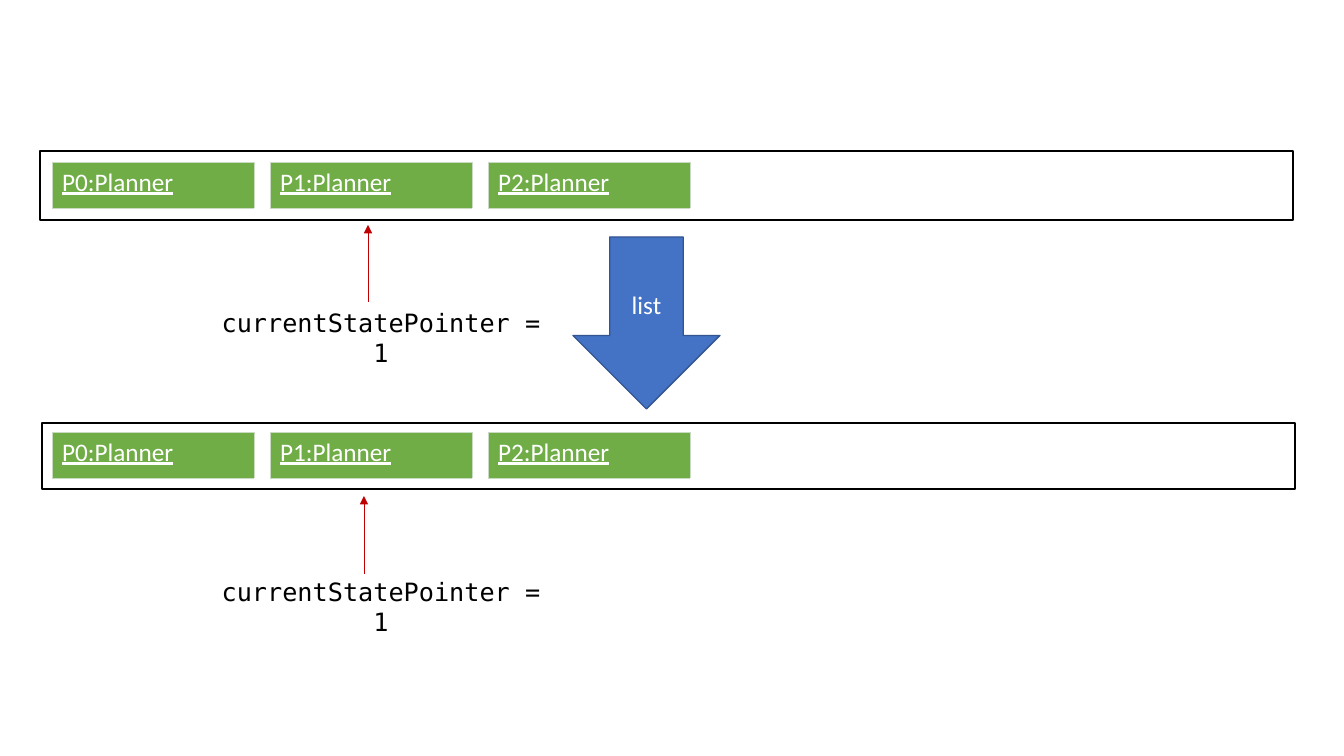
import dataclasses

import lxml.etree
import pptx
import pptx.dml.color
import pptx.enum.shapes
import pptx.enum.text
import pptx.oxml.ns
import pptx.util

SCALE = 914400 / 100.8
SHAPE = pptx.enum.shapes.MSO_SHAPE
ALIGN = pptx.enum.text.PP_ALIGN
ANCHOR = pptx.enum.text.MSO_ANCHOR
SANS, MONO = "Calibri", "DejaVu Sans Mono"
BLACK, WHITE, GREEN, EDGE = "000000", "FFFFFF", "70AD47", "C9DBC1"
BLUE, NAVY, RED = "4472C4", "325491", "C00000"


@dataclasses.dataclass
class Box:
    left: int
    top: int
    width: int
    height: int

    def emu(self) -> list[int]:
        return [px(n) for n in (self.left, self.top, self.width, self.height)]


@dataclasses.dataclass
class State:
    frame: Box
    cells: int  # top of the planner cells
    label: Box
    mark: int  # x of the pointer arrow
    tail: int
    tip: int


def px(count: int) -> int:
    return round(count * SCALE)


def paint(target, color: str) -> None:
    """Give a fill or a line one solid colour."""
    target.solid()
    target.fore_color.rgb = pptx.dml.color.RGBColor.from_string(color)


def write(frame, text: str, face: str, color: str, align, under: bool = False) -> None:
    line = frame.paragraphs[0]
    line.alignment = align
    run = line.add_run()
    run.text = text
    font = run.font
    font.name, font.size = face, pptx.util.Pt(18)
    font.bold, font.underline = False, under
    paint(font.fill, color)


def draw(slide, kind, box: Box, fill: str | None, edge: str):
    shape = slide.shapes.add_shape(kind, *box.emu())
    shape.shadow.inherit = False
    if fill:
        paint(shape.fill, fill)
    else:
        shape.fill.background()
    paint(shape.line.fill, edge)
    shape.line.width = pptx.util.Pt(1)
    return shape


def plan(slide, box: Box, text: str) -> None:
    """Draw one planner as a table with a single cell."""
    table = slide.shapes.add_table(1, 1, *box.emu()).table
    cell = table.cell(0, 0)
    write(cell.text_frame, text, SANS, WHITE, ALIGN.LEFT, True)
    props = cell._tc.get_or_add_tcPr()
    for side in ("lnL", "lnR", "lnT", "lnB"):
        line = lxml.etree.SubElement(props, pptx.oxml.ns.qn(f"a:{side}"), w="6350")
        fill = lxml.etree.SubElement(line, pptx.oxml.ns.qn("a:solidFill"))
        lxml.etree.SubElement(fill, pptx.oxml.ns.qn("a:srgbClr"), val=EDGE)
    paint(cell.fill, GREEN)


def point(slide, x: int, tail: int, tip: int) -> None:
    kind = pptx.enum.shapes.MSO_CONNECTOR.STRAIGHT
    arrow = slide.shapes.add_connector(kind, px(x), px(tail), px(x), px(tip))
    paint(arrow.line.fill, RED)
    arrow.line.width = pptx.util.Pt(0.5)
    line = arrow.line._get_or_add_ln()
    lxml.etree.SubElement(line, pptx.oxml.ns.qn("a:tailEnd"), type="triangle")
    lxml.etree.SubElement(arrow._element.spPr, pptx.oxml.ns.qn("a:effectLst"))


def show(slide, state: State) -> None:
    """Draw the list, its planners and its pointer."""
    draw(slide, SHAPE.RECTANGLE, state.frame, None, BLACK)
    for index in range(3):
        box = Box(52 + 218 * index, state.cells, 202, 46)
        plan(slide, box, f"P{index}:Planner")
    label = slide.shapes.add_textbox(*state.label.emu()).text_frame
    label.word_wrap = True
    write(label, "currentStatePointer = 1", MONO, BLACK, ALIGN.CENTER)
    point(slide, state.mark, state.tail, state.tip)


deck = pptx.Presentation()
deck.slide_width, deck.slide_height = px(1344), px(756)
slide = deck.slides.add_slide(deck.slide_layouts[6])

# Command between the two states
arrow = draw(slide, SHAPE.DOWN_ARROW, Box(573, 237, 147, 172), BLUE, NAVY)
arrow.text_frame.vertical_anchor = ANCHOR.MIDDLE
write(arrow.text_frame, "list", SANS, WHITE, ALIGN.CENTER)

# States before and after the command
STATES = [
    State(Box(40, 151, 1253, 69), 162, Box(204, 302, 354, 40), 368, 302, 225),
    State(Box(42, 423, 1253, 66), 432, Box(204, 571, 354, 40), 364, 574, 496),
]
for state in STATES:
    show(slide, state)

deck.save("out.pptx")
